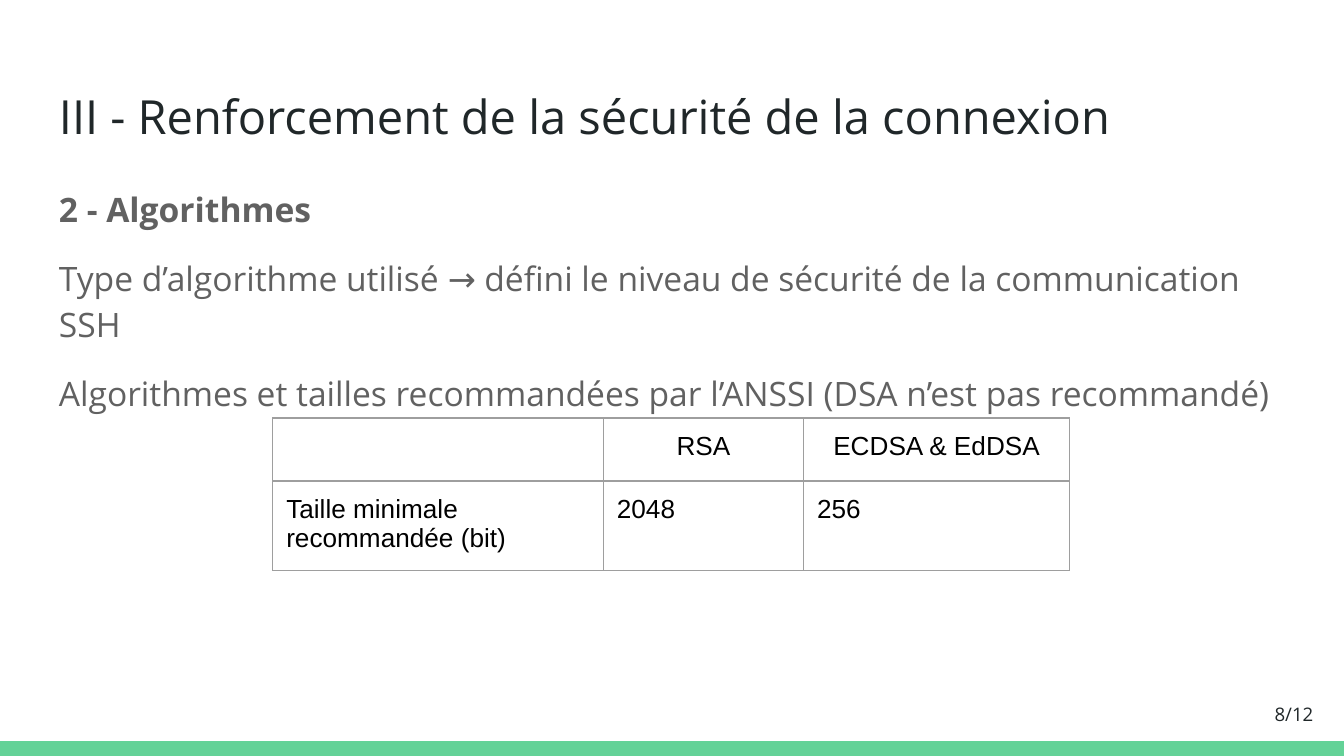
"""Build the slide on recommended SSH key algorithms and sizes."""
from lxml.etree import SubElement
from pptx import Presentation
from pptx.dml.color import RGBColor
from pptx.enum.shapes import MSO_SHAPE
from pptx.enum.text import MSO_ANCHOR, PP_ALIGN
from pptx.oxml.ns import qn
from pptx.util import Inches, Pt

COLORS = {"background": "FFFFFF", "band": "63D297", "title": "202729",
          "body": "616161", "table": "000000", "border": "9E9E9E"}
MARGIN = Inches(0.1)


def add_run(paragraph, text, size, color, font="Open Sans", bold=False):
    run = paragraph.add_run()
    run.text = text
    run.font.name = font
    run.font.size = Pt(size)
    run.font.bold = bold
    run.font.color.rgb = RGBColor.from_string(COLORS[color])


def add_text_frame(slide, left, top, width, height):
    box = slide.shapes.add_textbox(Inches(left), Inches(top), Inches(width), Inches(height))
    frame = box.text_frame
    frame.word_wrap = True
    frame.margin_left = frame.margin_right = MARGIN
    frame.margin_top = frame.margin_bottom = MARGIN
    return frame


presentation = Presentation()
presentation.slide_width = Inches(10)
presentation.slide_height = presentation.slide_width * 9 // 16
slide = presentation.slides.add_slide(presentation.slide_layouts[6])
slide.background.fill.solid()
slide.background.fill.fore_color.rgb = RGBColor.from_string(COLORS["background"])

band_height = Inches(0.11)
band = slide.shapes.add_shape(
    MSO_SHAPE.RECTANGLE, 0, presentation.slide_height - band_height,
    presentation.slide_width, band_height)
band.shadow.inherit = False
band.fill.solid()
band.fill.fore_color.rgb = RGBColor.from_string(COLORS["band"])
band.line.fill.background()

title = add_text_frame(slide, 0.34, 0.49, 9.32, 0.63).paragraphs[0]
title.line_spacing = 1.15
add_run(title, "III - Renforcement de la sécurité de la connexion", 25.2, "title")

body_lines = [
    "2 - Algorithmes",
    "Type d’algorithme utilisé → défini le niveau de sécurité de la communication SSH",
    "Algorithmes et tailles recommandées par l’ANSSI (DSA n’est pas recommandé)",
]
body = add_text_frame(slide, 0.34, 1.26, 9.32, 3.74)
for index, line in enumerate(body_lines):
    paragraph = body.add_paragraph() if index else body.paragraphs[0]
    paragraph.line_spacing = 1.15
    paragraph.space_before = Pt(12 if index else 0)
    add_run(paragraph, line, 18, "body", bold=index == 0)

table_rows = [["", "RSA", "ECDSA & EdDSA"],
              ["Taille minimale recommandée (bit)", "2048", "256"]]
column_widths = [2.46, 1.49, 1.98]
row_heights = [0.47, 0.42]
table = slide.shapes.add_table(
    len(row_heights), len(column_widths), Inches(2.03), Inches(3.11),
    Inches(sum(column_widths)), Inches(sum(row_heights))).table
table.first_row = table.horz_banding = False
for column, width in zip(table.columns, column_widths):
    column.width = Inches(width)
for row_index, (row, height) in enumerate(zip(table.rows, row_heights)):
    row.height = Inches(height)
    for cell, text in zip(row.cells, table_rows[row_index]):
        cell.margin_left = cell.margin_right = MARGIN
        cell.margin_top = cell.margin_bottom = MARGIN
        paragraph = cell.text_frame.paragraphs[0]
        paragraph.alignment = PP_ALIGN.LEFT if row_index else PP_ALIGN.CENTER
        if text:
            add_run(paragraph, text, 14, "table", font="Arial")
        else:
            SubElement(paragraph._p, qn("a:endParaRPr"), sz="1400")
        properties = cell._tc.get_or_add_tcPr()
        for side in ("a:lnL", "a:lnR", "a:lnT", "a:lnB"):
            border = SubElement(properties, qn(side), w=str(Pt(0.75)))
            border_fill = SubElement(border, qn("a:solidFill"))
            SubElement(border_fill, qn("a:srgbClr"), val=COLORS["border"])
        cell.fill.background()

page_frame = add_text_frame(slide, 9.27, 5.1, 0.6, 0.43)
page_frame.vertical_anchor = MSO_ANCHOR.MIDDLE
page_number = page_frame.paragraphs[0]
page_number.alignment = PP_ALIGN.RIGHT
add_run(page_number, "8/12", 10, "title")

presentation.save("out.pptx")
